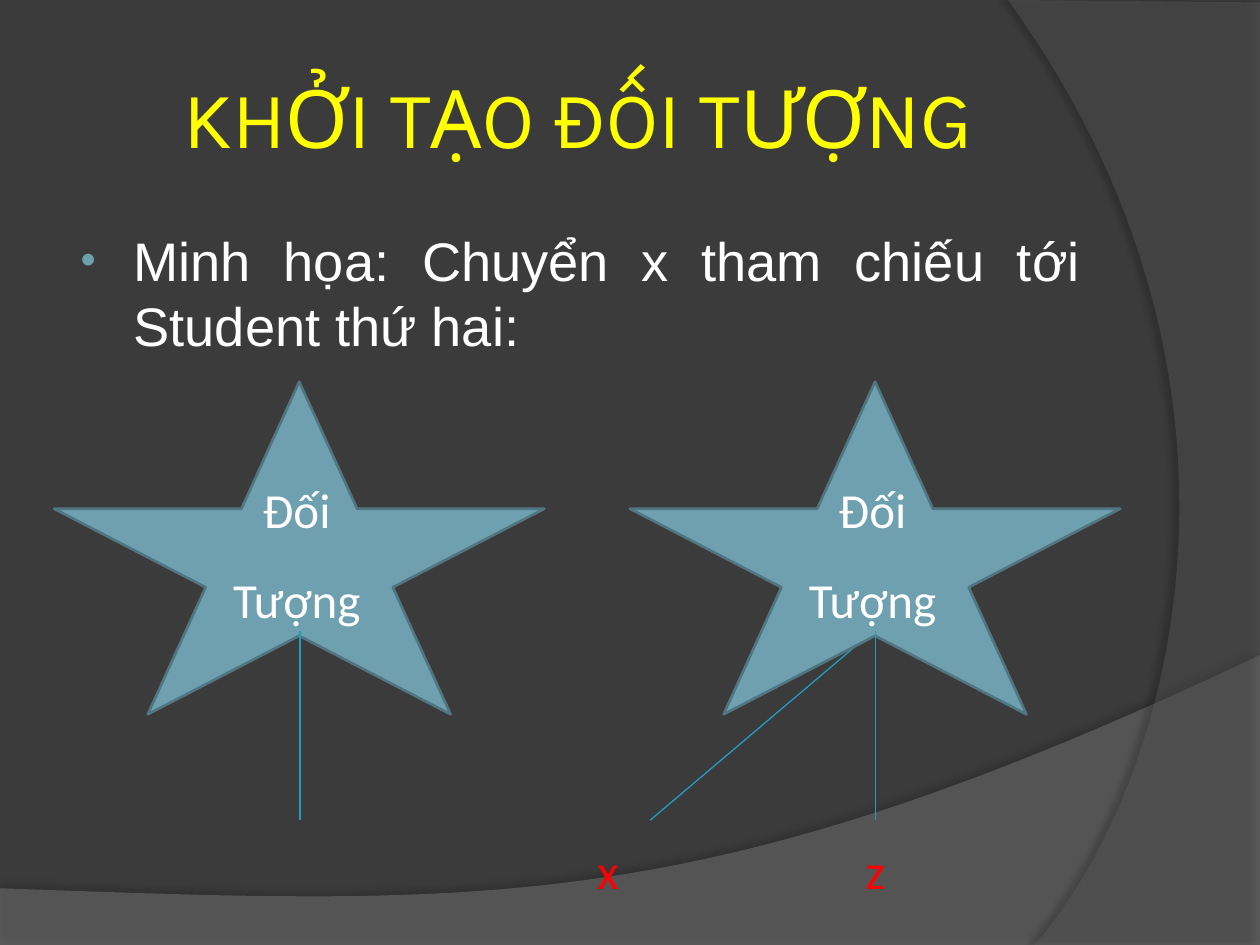
from dataclasses import dataclass

from lxml.etree import SubElement
from pptx import Presentation
from pptx.dml.color import RGBColor
from pptx.enum.shapes import MSO_CONNECTOR as Conn, MSO_SHAPE as Kind
from pptx.enum.text import MSO_ANCHOR as Anchor, MSO_AUTO_SIZE as Auto, PP_ALIGN as Align
from pptx.oxml.ns import qn
from pptx.util import Inches, Pt

Point = tuple[float, float]


@dataclass
class Wave:
    start: Point
    edges: list[list[Point]]
    color: str
    fade: int
    dark: int
    gap: float
    turn: int


@dataclass
class Line:
    text: str
    lead: float
    before: float = 0


@dataclass
class Label:
    left: float
    top: float
    width: float
    height: float
    color: str
    align: Align
    lines: list[Line]


WAVES = [
    Wave((0, 7.05), [[(0, 7.5)], [(10, 7.5)], [(10, 5.2)],
                     [(5.59, 7.29), (3.91, 7.19), (0, 7.05)]],
         "7F7F7F", 45, 35, 3.5, 270),
    Wave((10, 0.02), [[(10, 7.5)], [(8.21, 7.5)],
                      [(9.35, 6.19), (10.18, 3), (8, 0)]],
         "5E5E5E", 40, 45, 4, 180),
]
WORDS = [Line("Đối", 1.06), Line("Tượng", 1.17, 2.1)]


def rgb(code: str) -> RGBColor:
    return RGBColor.from_string(code)


def curve(start: Point, edge: list[Point], steps: int = 48) -> list[Point]:
    if len(edge) == 1:
        return edge
    knots = [start, *edge]
    points = []
    for step in range(1, steps + 1):
        t = step / steps
        parts = ((1 - t) ** 3, 3 * t * (1 - t) ** 2, 3 * t * t * (1 - t), t ** 3)
        points.append((sum(w * k[0] for w, k in zip(parts, knots)),
                       sum(w * k[1] for w, k in zip(parts, knots))))
    return points


def add_alpha(node, share: int) -> None:
    SubElement(node, qn("a:alpha"), val=str(share * 1000))


def draw_wave(wave: Wave, rank: int) -> None:
    points = [wave.start]
    for edge in wave.edges:
        points += curve(points[-1], edge)
    spots = [(Inches(x), Inches(y)) for x, y in points]
    pen = slide.shapes.build_freeform(*spots[0], scale=1.0)
    pen.add_line_segments(spots[1:], close=True)
    shape = pen.convert_to_shape()
    shape.fill.solid()
    shape.fill.fore_color.rgb = rgb(wave.color)
    shape.line.fill.background()
    shape.shadow.inherit = False
    props = shape.element.spPr
    add_alpha(props.find(".//" + qn("a:srgbClr")), wave.fade)
    glow = SubElement(props.find(qn("a:effectLst")), qn("a:outerShdw"),
                      blurRad=str(Pt(4)), dist=str(Pt(wave.gap)),
                      dir=str(wave.turn * 60000), algn="ctr", rotWithShape="0")
    add_alpha(SubElement(glow, qn("a:srgbClr"), val="000000"), wave.dark)
    shape.element.getparent().insert(2 + rank, shape.element)


def draw_star(left: float) -> None:
    star = slide.shapes.add_shape(Kind.STAR_5_POINT, Inches(left), Inches(3.03),
                                  Inches(3.89), Inches(2.64))
    star.shadow.inherit = False
    star.fill.solid()
    star.fill.fore_color.rgb = rgb("6EA0B0")
    star.line.color.rgb = rgb("517682")
    star.line.width = Pt(1.5)


def draw_link(start: Point, end: Point) -> None:
    link = slide.shapes.add_connector(Conn.STRAIGHT, *map(Inches, start + end))
    link.line.color.rgb = rgb("239BC2")
    link.line.width = Pt(0.75)
    SubElement(link.element.spPr, qn("a:effectLst"))


def add_run(para, text: str, size: float, font: str, color: str) -> None:
    run = para.add_run()
    run.text = text
    run.font.size = Pt(size)
    run.font.name = font
    run.font.color.rgb = rgb(color)


def set_inset(frame, inset: float) -> None:
    frame.margin_left = frame.margin_right = Inches(inset)
    frame.margin_top = frame.margin_bottom = Inches(inset)


def draw_label(label: Label) -> None:
    box = slide.shapes.add_textbox(Inches(label.left), Inches(label.top),
                                   Inches(label.width), Inches(label.height))
    frame = box.text_frame
    frame.word_wrap = True
    set_inset(frame, 0)
    for rank, line in enumerate(label.lines):
        para = frame.add_paragraph() if rank else frame.paragraphs[0]
        para.alignment = label.align
        para.line_spacing = line.lead
        para.space_before = Pt(line.before)
        para.space_after = Pt(10)
        add_run(para, line.text, 28, "Calibri", label.color)


def place(holder, top: float, height: float):
    holder.left, holder.top = Inches(0.5), Inches(top)
    holder.width, holder.height = Inches(8.17), Inches(height)
    holder.text_frame.word_wrap = True
    holder.text_frame.auto_size = Auto.NONE
    return holder.text_frame


def fill_title() -> None:
    frame = place(slide.shapes.title, 0.3, 1.25)
    frame.vertical_anchor = Anchor.MIDDLE
    set_inset(frame, 0.05)
    para = frame.paragraphs[0]
    para.alignment = Align.CENTER
    add_run(para, "KHỞI TẠO ĐỐI TƯỢNG", 46, "Karla", "FFFF00")


def fill_body() -> None:
    frame = place(slide.placeholders[1], 1.75, 4.95)
    para = frame.paragraphs[0]
    para.alignment = Align.JUSTIFY
    para.space_before = Pt(6.2)
    add_run(para, "Minh họa: Chuyển x tham chiếu tới Student thứ hai:",
            31, "Arial", "FFFFFF")
    props = para._p.get_or_add_pPr()
    props.set("marL", str(Inches(0.46)))
    props.set("indent", str(Inches(-0.42)))
    tint = SubElement(props, qn("a:buClr"))
    SubElement(tint, qn("a:srgbClr"), val="6EA0B0")
    SubElement(props, qn("a:buSzPct"), val="80000")
    SubElement(props, qn("a:buFont"), typeface="Arial")
    SubElement(props, qn("a:buChar"), char="•")


deck = Presentation()
deck.slide_width, deck.slide_height = Inches(10), Inches(7.5)
slide = deck.slides.add_slide(deck.slide_layouts[1])
slide.background.fill.solid()
slide.background.fill.fore_color.rgb = rgb("3B3B3B")

for rank, wave in enumerate(WAVES):
    draw_wave(wave, rank)
fill_title()
fill_body()

draw_link((6.93, 5.01), (5.16, 6.51))
for left in (0.43, 5):
    mid = left + 1.95
    draw_star(left)
    draw_link((mid, 5.01), (mid, 6.51))
    draw_label(Label(left + 1.38, 3.78, 1.09, 0.68, "FFFFFF", Align.CENTER, WORDS))
for name, left in (("x", 4.74), ("z", 6.87)):
    draw_label(Label(left, 6.66, 0.15, 0.29, "FF0000", Align.LEFT, [Line(name, 1.03)]))

deck.save("out.pptx")
